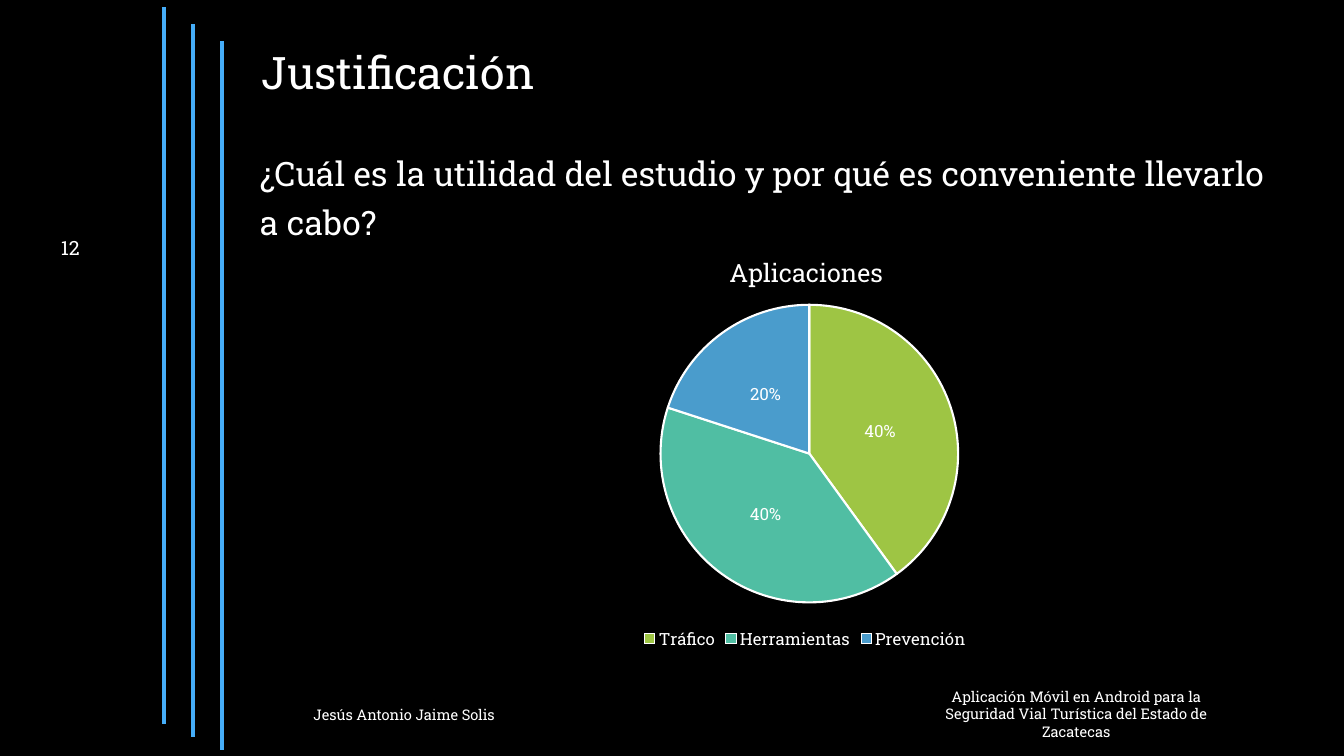
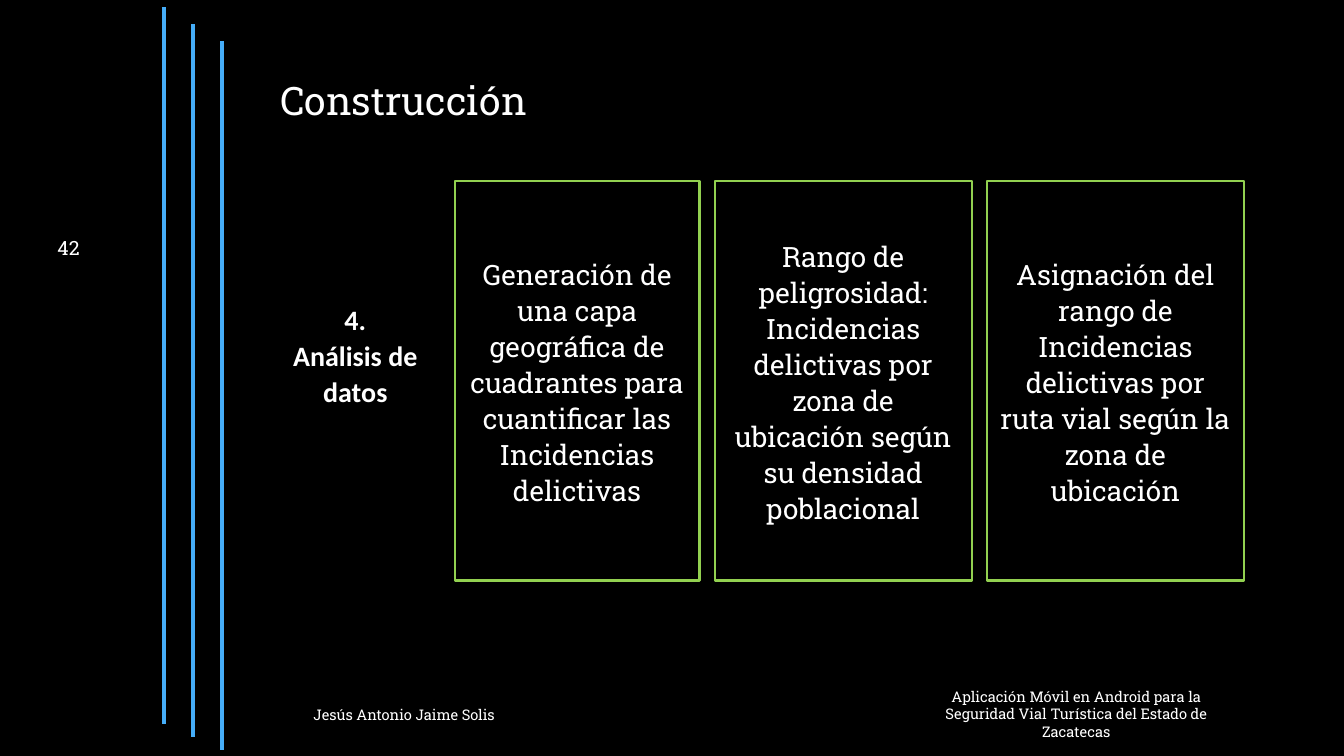
from lxml import etree
from pptx import Presentation
from pptx import util as u
from pptx.chart.data import CategoryChartData
from pptx.dml.color import RGBColor
from pptx.enum import chart as ch, shapes, text
from pptx.oxml import parse_xml
from pptx.oxml.ns import nsdecls, qn

BLACK, WHITE, BLUE, GREEN = "000000", "FFFFFF", "45ADF8", "92D050"
CENTER, RIGHT = text.PP_ALIGN.CENTER, text.PP_ALIGN.RIGHT
MIDDLE = text.MSO_ANCHOR.MIDDLE


def rgb(value):
    """Turn a hex string into a colour."""
    return RGBColor.from_string(value)


def place(parent, index, **fractions):
    """Give a chart part a fixed place, as fractions of the chart."""
    for old in parent.findall(qn("c:layout")):
        parent.remove(old)
    modes = "".join(f'<c:{k}Mode val="edge"/>' for k in "xy")
    values = "".join(f'<c:{k} val="{v}"/>' for k, v in fractions.items())
    inner = '<c:layoutTarget val="inner"/>' if "w" in fractions else ""
    parent.insert(index, parse_xml(
        f'<c:layout {nsdecls("c")}><c:manualLayout>{inner}{modes}{values}'
        '</c:manualLayout></c:layout>'))


class Deck:
    """Hold the shared style and the current slide."""

    font = "Roboto Slab"
    author = "Jesús Antonio Jaime Solis"
    project = ("Aplicación Móvil en Android para la Seguridad Vial Turística "
               "del Estado de Zacatecas")

    def __init__(self):
        """Start an empty presentation."""
        self.prs = Presentation()
        self.prs.slide_width = u.Cm(33.87)
        self.prs.slide_height = u.Cm(19.05)
        self.s = None

    def slide(self, number):
        """Add a slide with its background, lines, number and footers."""
        self.s = self.prs.slides.add_slide(self.prs.slide_layouts[6])
        fill = self.s.background.fill
        fill.solid()
        fill.fore_color.rgb = rgb(BLACK)
        for i in range(3):
            self.line(4.14 + 0.73 * i, 0.18 + 0.43 * i, 18.24 + 0.33 * i)
        self.text((22.96, 17.2, 8.33, 1.6), [self.project], 10.5, alignment=CENTER)
        self.text((7.65, 17.5, 18.54, 1.02), [self.author], 10.5, MIDDLE)
        self.text((0.18, 5.74, 2.08, 1.02), [number], 14, MIDDLE, alignment=RIGHT)

    def style(self, font, size, **values):
        """Apply the deck font with the given size and extra values."""
        font.color.rgb = rgb(WHITE)
        for name, value in {"name": self.font, "size": u.Pt(size), **values}.items():
            setattr(font, name, value)

    def fill_text(self, sp, lines, size, anchor, font=None, indent=0, **values):
        """Put paragraphs into a shape."""
        tf = sp.text_frame
        tf.word_wrap = True
        tf.vertical_anchor = anchor
        for i, line in enumerate(lines):
            p = tf.paragraphs[0] if i == 0 else tf.add_paragraph()
            if indent:
                p._p.get_or_add_pPr().set("marL", str(u.Cm(indent)))
            for name, value in values.items():
                setattr(p, name, value)
            r = p.add_run()
            r.text = line
            self.style(r.font, size, **(font or {}))

    def text(self, box, lines, size, anchor=text.MSO_ANCHOR.TOP, **values):
        """Add a text box."""
        sp = self.s.shapes.add_textbox(*map(u.Cm, box))
        self.fill_text(sp, lines, size, anchor, **values)

    def card(self, box, line):
        """Add an outlined rectangle with centred text."""
        sp = self.s.shapes.add_shape(shapes.MSO_SHAPE.RECTANGLE, *map(u.Cm, box))
        sp.shadow.inherit = False
        sp.fill.background()
        sp.line.color.rgb = rgb(GREEN)
        sp.line.width = u.Pt(1.5)
        self.fill_text(sp, [line], 20, MIDDLE, alignment=CENTER,
                       line_spacing=1.07, space_after=u.Pt(8))

    def line(self, x, top, bottom):
        """Add a vertical accent line."""
        c = self.s.shapes.add_connector(
            shapes.MSO_CONNECTOR.STRAIGHT, *map(u.Cm, (x, top, x, bottom)))
        c.line.color.rgb = rgb(BLUE)
        c.line.width = u.Pt(3)
        etree.SubElement(c._element.spPr, qn("a:effectLst"))

    def pie(self, box, title, slices):
        """Add a pie chart from (name, value, colour) slices."""
        data = CategoryChartData()
        data.categories = [name for name, _, _ in slices]
        data.add_series("Series 1", [value for _, value, _ in slices])
        chart = self.s.shapes.add_chart(
            ch.XL_CHART_TYPE.PIE, *map(u.Cm, box), data).chart
        self.style(chart.font, 10)

        chart.has_title = True
        p = chart.chart_title.text_frame.paragraphs[0]
        r = p.add_run()
        r.text = title
        self.style(r.font, 18, bold=False)
        place(chart.chart_title._element, 1, x=0.4, y=0.05)
        place(chart._chartSpace.chart.plotArea, 0, x=0.32, y=0.18, w=0.37, h=0.7)

        chart.has_legend = True
        chart.legend.position = ch.XL_LEGEND_POSITION.BOTTOM
        chart.legend.include_in_layout = False
        self.style(chart.legend.font, 12)

        plot = chart.plots[0]
        plot.vary_by_categories = True
        plot.has_data_labels = True
        labels = plot.data_labels
        formats = {"show_percentage": True, "show_value": False,
                   "number_format": "0%", "number_format_is_linked": False,
                   "position": ch.XL_LABEL_POSITION.CENTER}
        for name, value in formats.items():
            setattr(labels, name, value)
        self.style(labels.font, 12)
        for i, (_, _, color) in enumerate(slices):
            fmt = plot.series[0].points[i].format
            fmt.fill.solid()
            fmt.fill.fore_color.rgb = rgb(color)
            fmt.line.color.rgb = rgb(WHITE)
            fmt.line.width = u.Pt(1.5)


def main():
    """Build and save both slides."""
    deck = Deck()

    deck.slide("12")
    deck.text((6.35, 0.99, 12.32, 1.63), ["Justificación"], 32)
    deck.text((6.3, 3.53, 26.14, 9.8),
              ["¿Cuál es la utilidad del estudio y por qué es conveniente "
               "llevarlo a cabo?"], 24, line_spacing=1.2)
    deck.pie((10.16, 5.74, 20.27, 10.74), "Aplicaciones",
             [("Tráfico", 40, "9EC544"),
              ("Herramientas", 40, "50BEA3"),
              ("Prevención", 20, "4A9CCC")])

    deck.slide("42")
    deck.text((6.81, 1.57, 21.67, 2), ["Construcción"], 28, line_spacing=1.2)
    deck.text((5.59, 7.44, 5.46, 4.85), ["4.", "Análisis de datos"], 20,
              font={"name": "Calibri", "bold": True}, indent=1.27,
              alignment=CENTER, line_spacing=1.07)
    left, gap = 11.46, 0.38
    cards = [
        (6.17, "Generación de una capa geográfica de cuadrantes para "
               "cuantificar las Incidencias delictivas"),
        (6.48, "Rango de peligrosidad: Incidencias delictivas por zona de "
               "ubicación según su densidad poblacional"),
        (6.48, "Asignación del rango de Incidencias delictivas por ruta vial "
               "según la zona de ubicación"),
    ]
    for width, line in cards:
        deck.card((left, 4.57, width, 10.06), line)
        left += width + gap

    deck.prs.save("out.pptx")


if __name__ == "__main__":
    main()
